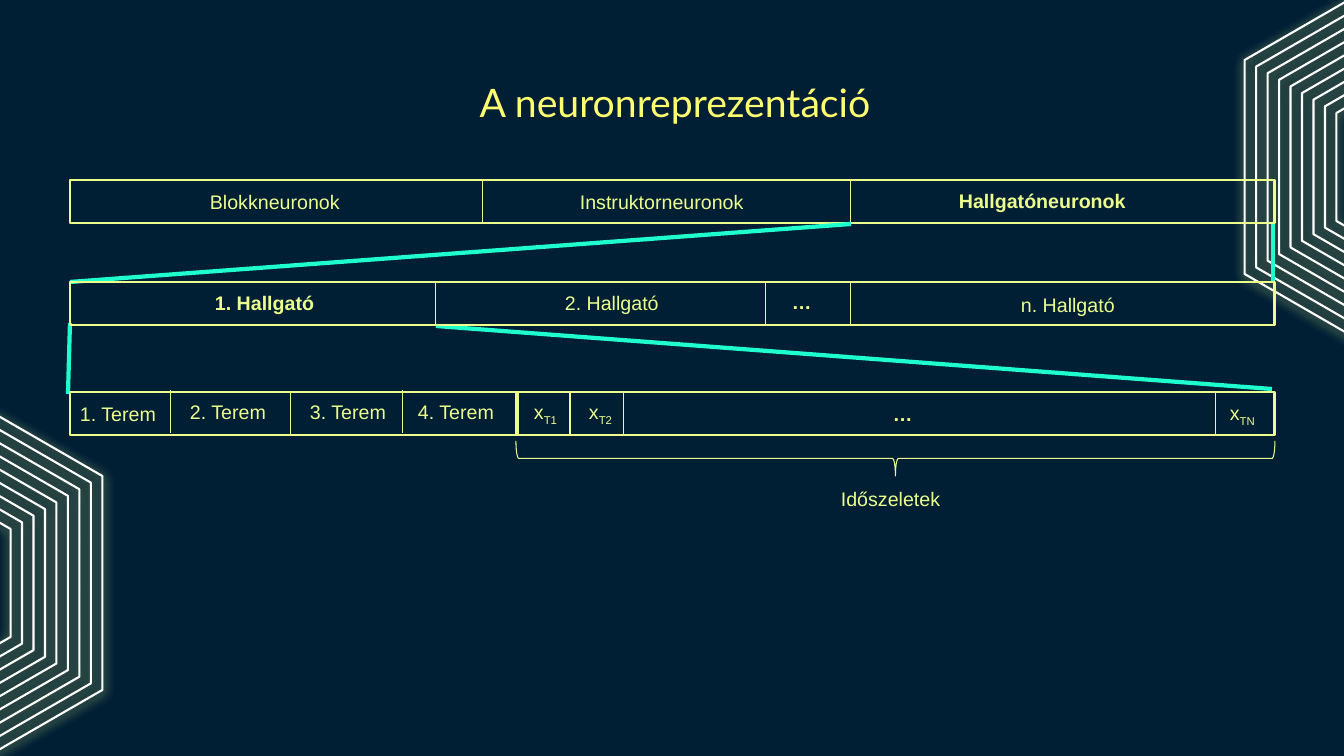
from math import cos, pi, sin

from lxml import etree
from pptx import Presentation
from pptx import util as u
from pptx.dml.color import RGBColor
from pptx.enum import shapes, text
from pptx.oxml import ns

PX = 914400 / 100.8
HUES = {"back": "001F35", "title": "FFFF70", "lime": "ECFF8C",
        "zoom": "1FFFCE", "ring": "FFFFFF"}
ROW_X, ROW_W, ROW_H = 70, 1205, 43
THIN, FRAME, THICK = 0.75, 2, 3


def px(n):
    return u.Emu(round(n * PX))


def hue(name):
    return RGBColor.from_string(HUES[name])


def ink(shape, name, width):
    shape.line.color.rgb = hue(name)
    shape.line.width = u.Pt(width)


def hollow(shape, name, width):
    shape.shadow.inherit = False
    shape.fill.background()
    ink(shape, name, width)


def line(slide, ends, name, width):
    link = slide.shapes.add_connector(
        shapes.MSO_CONNECTOR.STRAIGHT, *map(px, ends))
    ink(link, name, width)
    etree.SubElement(link._element.spPr, ns.qn("a:effectLst"))


def glow(shape):
    """Give the outline a soft lime shadow."""
    effects = shape._element.spPr.find(ns.qn("a:effectLst"))
    shade = etree.SubElement(effects, ns.qn("a:outerShdw"), blurRad="100000",
                             dist="19050", dir="5400000", algn="bl", rotWithShape="0")
    tint = etree.SubElement(shade, ns.qn("a:srgbClr"), val=HUES["lime"])
    etree.SubElement(tint, ns.qn("a:alpha"), val="90000")


def rings(slide, mid_x, mid_y):
    """Draw nine nested hexagons around one centre."""
    for i in range(9):
        size = 214 - 13.25 * i
        points = [(px(mid_x + size * sin(k * pi / 3)), px(mid_y - size * cos(k * pi / 3)))
                  for k in range(6)]
        form = slide.shapes.build_freeform(*points[0])
        form.add_line_segments(points[1:], close=True)
        ring = form.convert_to_shape()
        hollow(ring, "ring", 1.5)
        glow(ring)


def heading(slide, box, words):
    title = slide.shapes.title
    title.left, title.top, title.width, title.height = map(px, box)
    frame = title.text_frame
    frame.margin_left = frame.margin_right = u.Inches(0.1)
    frame.margin_top = frame.margin_bottom = u.Inches(0.1)
    frame.vertical_anchor = text.MSO_ANCHOR.MIDDLE
    frame.text = words
    para = frame.paragraphs[0]
    para.alignment = text.PP_ALIGN.CENTER
    para.font.name, para.font.size = "Lato", u.Pt(28)
    para.font.color.rgb = hue("title")


def label(slide, x, y, width, words, bold=False):
    """Write a label; what follows an underscore is set as a subscript."""
    frame = slide.shapes.add_textbox(*map(px, (x, y, width, 34))).text_frame
    frame.word_wrap = True
    frame.auto_size = text.MSO_AUTO_SIZE.SHAPE_TO_FIT_TEXT
    para = frame.paragraphs[0]
    main, _, sub = words.partition("_")
    para.add_run().text = main
    if sub:
        run = para.add_run()
        run.text = sub
        run._r.get_or_add_rPr().set("baseline", "-25000")
    para.font.name, para.font.size = "Arial", u.Pt(14)
    para.font.bold = bold
    para.font.color.rgb = hue("lime")


def row(slide, y, cuts, labels):
    """Draw a framed row; cuts and labels are offsets from its corner."""
    frame = slide.shapes.add_shape(
        shapes.MSO_SHAPE.RECTANGLE, *map(px, (ROW_X, y, ROW_W, ROW_H)))
    hollow(frame, "lime", FRAME)
    for dx, dy, width in cuts:
        x, top = ROW_X + dx, y + dy
        line(slide, (x, top, x, top + ROW_H), "lime", width)
    for dx, dy, *rest in labels:
        label(slide, ROW_X + dx, y + dy, *rest)


def brace(slide, x, y, width, height, words):
    """Draw a brace below a span, with its caption underneath."""
    turn = (width - height) / 2
    sign = slide.shapes.add_shape(
        shapes.MSO_SHAPE.LEFT_BRACE, *map(px, (x + turn, y - turn, height, width)))
    sign.rotation = 270
    hollow(sign, "lime", THIN)
    label(slide, x + 315, y + height + 6, 162, words)


def neurons(slide):
    row(slide, 180, [(413, 0, THIN), (781, 0, THIN)],
        [(130, 5, 229, "Blokkneuronok"),
         (500, 5, 229, "Instruktorneuronok"),
         (879, 4, 229, "Hallgatóneuronok", True)])
    for ends in ((851, 224, 70, 282), (1273, 224, 1273, 282),
                 (70, 323, 68, 394), (436, 326, 1272, 389)):
        line(slide, ends, "zoom", THICK)
    row(slide, 392,
        [(101, -2, THIN), (221, 1, THIN), (333, -2, THIN), (447, 1, THICK),
         (500, 1, THIN), (554, 1, THIN), (1146, 1, THIN)],
        [(0, 5, 101, "1. Terem"), (110, 3, 111, "2. Terem"),
         (230, 3, 116, "3. Terem"), (338, 3, 101, "4. Terem"),
         (454, 3, 46, "x_T1"), (509, 3, 46, "x_T2"),
         (813, 5, 58, "…", True), (1150, 4, 54, "x_TN")])
    row(slide, 282, [(366, 0, THIN), (696, 0, THIN), (781, 0, THIN)],
        [(135, 4, 229, "1. Hallgató", True), (485, 4, 229, "2. Hallgató"),
         (712, 3, 229, "…", True), (941, 6, 229, "n. Hallgató")])
    brace(slide, 516, 441, 759, 35, "Időszeletek")


def main():
    deck = Presentation()
    deck.slide_width, deck.slide_height = px(1344), px(756)
    slide = deck.slides.add_slide(deck.slide_layouts.get_by_name("Title Only"))
    slide.background.fill.solid()
    slide.background.fill.fore_color.rgb = hue("back")
    rings(slide, -83, 583)
    rings(slide, 1430, 167)
    heading(slide, (105, 80, 1140, 43), "A neuronreprezentáció")
    neurons(slide)
    deck.save("out.pptx")


if __name__ == "__main__":
    main()
